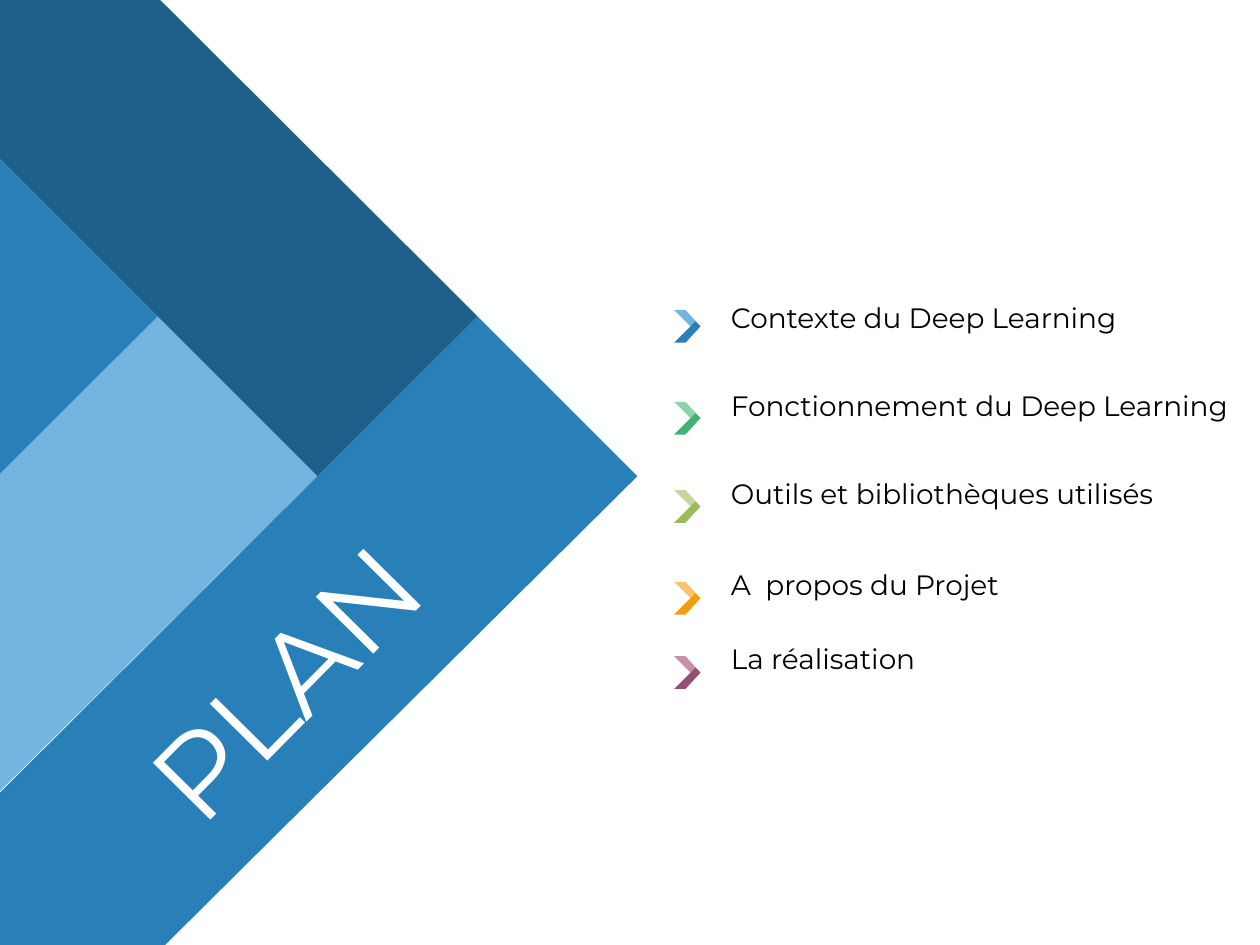
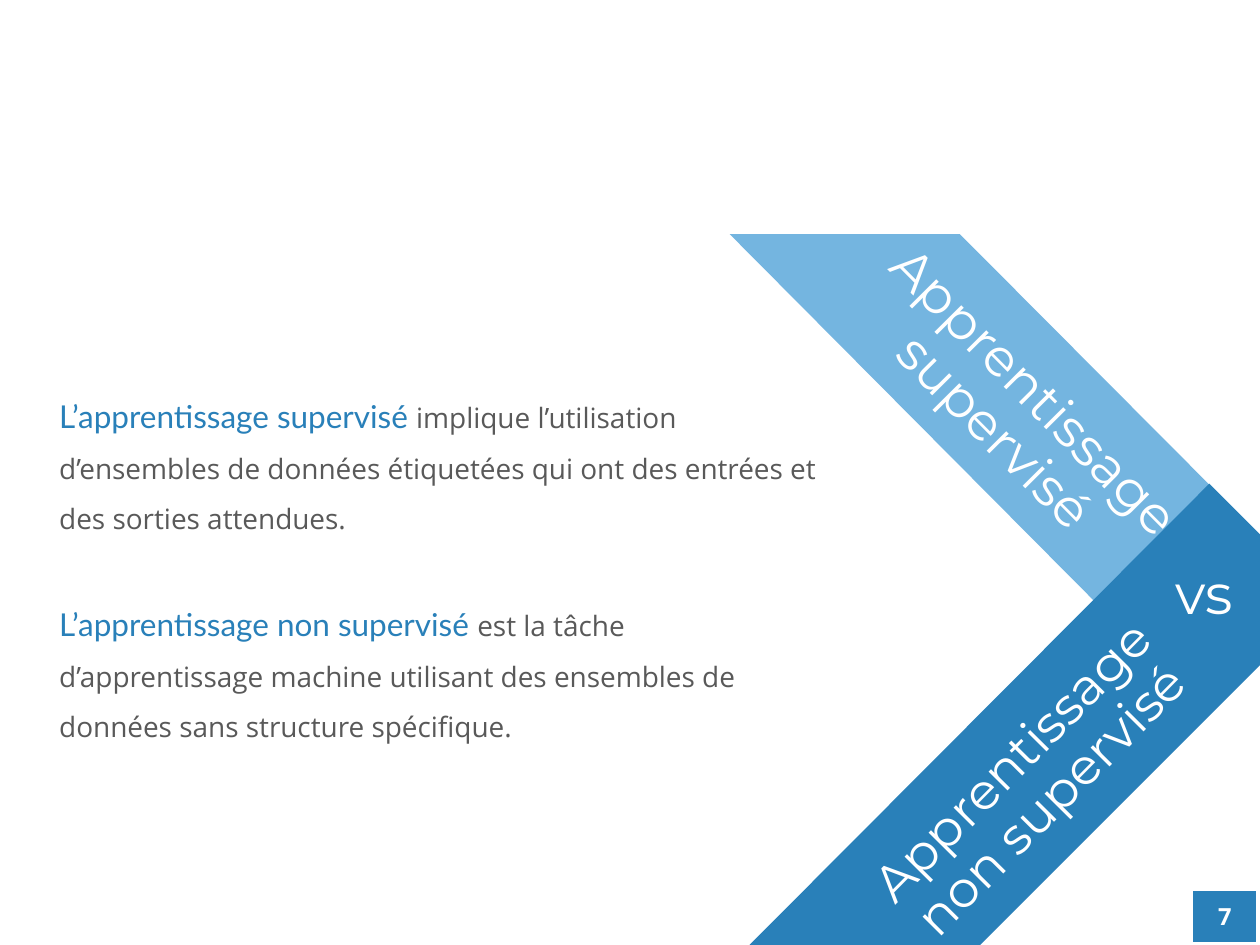
from pptx import Presentation
from pptx.dml.color import RGBColor
from pptx.enum.shapes import MSO_SHAPE
from pptx.enum.text import MSO_ANCHOR, MSO_AUTO_SIZE, PP_ALIGN
from pptx.oxml import parse_xml
from pptx.oxml.ns import nsdecls
from pptx.util import Cm, Pt

RECTANGLE = MSO_SHAPE.RECTANGLE
TOP, MIDDLE = MSO_ANCHOR.TOP, MSO_ANCHOR.MIDDLE
LEFT, CENTER = PP_ALIGN.LEFT, PP_ALIGN.CENTER
NO_AUTOFIT = MSO_AUTO_SIZE.NONE

WHITE = RGBColor(0xFF, 0xFF, 0xFF)
BLACK = RGBColor(0x00, 0x00, 0x00)
GREY = RGBColor(0x59, 0x59, 0x59)
BLUE = RGBColor(0x29, 0x80, 0xB9)
LIGHT_BLUE = RGBColor(0x74, 0xB5, 0xE0)
DARK_BLUE = RGBColor(0x1F, 0x60, 0x8B)
GREEN = RGBColor(0x41, 0xB1, 0x76)
LIGHT_GREEN = RGBColor(0x89, 0xD4, 0xAD)
OLIVE = RGBColor(0x9B, 0xBB, 0x59)
LIGHT_OLIVE = RGBColor(0xC3, 0xD6, 0x9B)
ORANGE = RGBColor(0xF3, 0x9C, 0x12)
LIGHT_ORANGE = RGBColor(0xF8, 0xC4, 0x71)
PLUM = RGBColor(0x95, 0x4F, 0x72)
LIGHT_PLUM = RGBColor(0xC4, 0x90, 0xAA)

RISING, FALLING = 314.7, 45.2


def font(name, size, color, bold=False):
    return {"name": name, "size": Pt(size), "color": color, "bold": bold}


class Deck:
    """Holds the shared style and the slide being built."""

    item = font("Montserrat", 16, BLACK)
    term = font("Lato", 18, BLUE)
    prose = font("Open Sans", 16, GREY)
    number = font("Open Sans", 13.5, WHITE, True)

    def __init__(self):
        self.prs = Presentation()
        self.prs.slide_width, self.prs.slide_height = Cm(25.4), Cm(19.05)
        self.slide = None

    def new_slide(self):
        self.slide = self.prs.slides.add_slide(self.prs.slide_layouts[1])

    @staticmethod
    def place(shape, box, rotation=0):
        for side, length in zip(("left", "top", "width", "height"), box):
            setattr(shape, side, Cm(length))
        shape.rotation = rotation

    @staticmethod
    def frame(shape, wrap=True, anchor=TOP):
        settings = {"auto_size": NO_AUTOFIT, "word_wrap": wrap,
                    "vertical_anchor": anchor}
        for key, value in settings.items():
            setattr(shape.text_frame, key, value)
        return shape.text_frame

    @staticmethod
    def fill_paragraph(paragraph, runs, align=LEFT, spacing=1.0, before=0):
        layout = {"alignment": align, "line_spacing": spacing,
                  "space_before": Pt(before), "space_after": Pt(0)}
        for key, value in layout.items():
            setattr(paragraph, key, value)
        for text, style in runs:
            run = paragraph.add_run()
            run.text = text
            for key, value in style.items():
                if key == "color":
                    run.font.color.rgb = value
                else:
                    setattr(run.font, key, value)

    def display(self, shape, text, size, box, rotation, align):
        self.place(shape, box, rotation)
        style = font("Montserrat", size, WHITE)
        self.fill_paragraph(self.frame(shape).paragraphs[0], [(text, style)],
                            align, 0.9)

    def title(self, text, size, box, rotation=0, align=CENTER):
        title = self.slide.shapes.title
        title.element.getparent().append(title.element)  # bring above the bands
        self.display(title, text, size, box, rotation, align)

    def label(self, text, size, box, rotation=0, align=CENTER):
        label = self.slide.shapes.add_textbox(0, 0, 0, 0)
        self.display(label, text, size, box, rotation, align)

    def body(self, paragraphs, box, spacing=1.0, wrap=True):
        """Fill the body with (space before, runs) pairs, without bullets."""
        body = self.slide.placeholders[1]
        self.place(body, box)
        frame = self.frame(body, wrap)
        for i, (before, runs) in enumerate(paragraphs):
            paragraph = frame.add_paragraph() if i else frame.paragraphs[0]
            self.fill_paragraph(paragraph, runs, LEFT, spacing, before)
            properties = paragraph._p.get_or_add_pPr()
            properties.set("marL", "0")
            properties.set("indent", "0")
            properties.append(parse_xml(f"<a:buNone {nsdecls('a')}/>"))

    def band(self, points, color):
        (x, y), *rest = [(Cm(px), Cm(py)) for px, py in points]
        builder = self.slide.shapes.build_freeform(x, y)
        builder.add_line_segments(rest, close=True)
        band = builder.convert_to_shape()
        band.shadow.inherit = False
        band.fill.solid()
        band.fill.fore_color.rgb = color
        band.line.fill.background()

    def chevron(self, left, top, light, dark):
        height = 0.66
        arm = [(0, 0), (0.43, 0.43), (0.53, 0.33), (0.23, 0)]
        self.band([(left + x, top + y) for x, y in arm], light)
        self.band([(left + x, top + height - y) for x, y in arm], dark)

    def page_number(self, number):
        badge = self.slide.shapes.add_shape(RECTANGLE, 0, 0, 0, 0)
        self.place(badge, (24.03, 17.93, 1.32, 1.09))
        badge.shadow.inherit = False
        badge.fill.solid()
        badge.fill.fore_color.rgb = BLUE
        badge.line.color.rgb = WHITE
        badge.line.width = Pt(1.5)
        frame = self.frame(badge, anchor=MIDDLE)
        self.fill_paragraph(frame.paragraphs[0], [(str(number), self.number)],
                            CENTER)


def build_plan(deck):
    deck.new_slide()

    # Large arrow made of four bands
    deck.band([(3.18, 6.38), (6.4, 9.6), (-0.05, 16), (-0.05, 9.6)], LIGHT_BLUE)
    deck.band([(-0.05, 3.15), (3.18, 6.38), (-0.05, 9.6)], BLUE)
    deck.band([(9.63, 6.38), (12.85, 9.6), (3.23, 19.15), (-0.05, 19.15),
               (-0.05, 16.03)], BLUE)
    deck.band([(-0.05, 0), (3.23, 0), (9.63, 6.38), (6.4, 9.6),
               (-0.05, 3.15)], DARK_BLUE)
    deck.title("PLAN", 66, (1.14, 10.85, 12.09, 1.63), RISING, LEFT)

    # Topics: space before, chevron top, chevron colours
    topics = [
        ("Contexte du Deep Learning", 0, 6.25, LIGHT_BLUE, BLUE),
        ("Fonctionnement du Deep Learning", 31, 8.1, LIGHT_GREEN, GREEN),
        ("Outils et bibliothèques utilisés", 31, 9.88, LIGHT_OLIVE, OLIVE),
        ("A  propos du Projet", 33, 11.73, LIGHT_ORANGE, ORANGE),
        ("La réalisation", 23, 13.23, LIGHT_PLUM, PLUM),
    ]
    deck.body([(before, [(topic, deck.item)]) for topic, before, *_ in topics],
              (14.48, 5.94, 10.57, 7.85), wrap=False)
    for _, _, top, light, dark in topics:
        deck.chevron(13.59, top, light, dark)


def build_comparison(deck):
    deck.new_slide()

    # Definitions
    definitions = [
        (0, "L’apprentissage supervisé ",
         "implique l’utilisation d’ensembles de données étiquetées qui ont "
         "des entrées et des sorties attendues."),
        (29, "L’apprentissage non supervisé ",
         "est la tâche d’apprentissage machine utilisant des ensembles de "
         "données sans structure spécifique."),
    ]
    deck.body([(before, [(term, deck.term), (meaning, deck.prose)])
               for before, term, meaning in definitions],
              (0.94, 7.49, 16.15, 8.71), spacing=1.5)

    # Two bands meeting at the right edge
    deck.band([(14.71, 4.72), (23.98, 14.05), (26.31, 11.71), (19.35, 4.72)],
              LIGHT_BLUE)
    deck.band([(15.11, 19.05), (24.38, 9.75), (26.72, 12.09), (19.76, 19.05)],
              BLUE)
    deck.title("Apprentissage supervisé", 30, (15.06, 7.04, 10.69, 2.62), FALLING)
    deck.label("Apprentissage non supervisé", 29, (15.9, 14.5, 10.01, 2.69), RISING)
    deck.label("vs", 32, (23.19, 11.28, 2.16, 1.63))
    deck.page_number(7)


def main():
    deck = Deck()
    build_plan(deck)
    build_comparison(deck)
    deck.prs.save("out.pptx")


if __name__ == "__main__":
    main()
